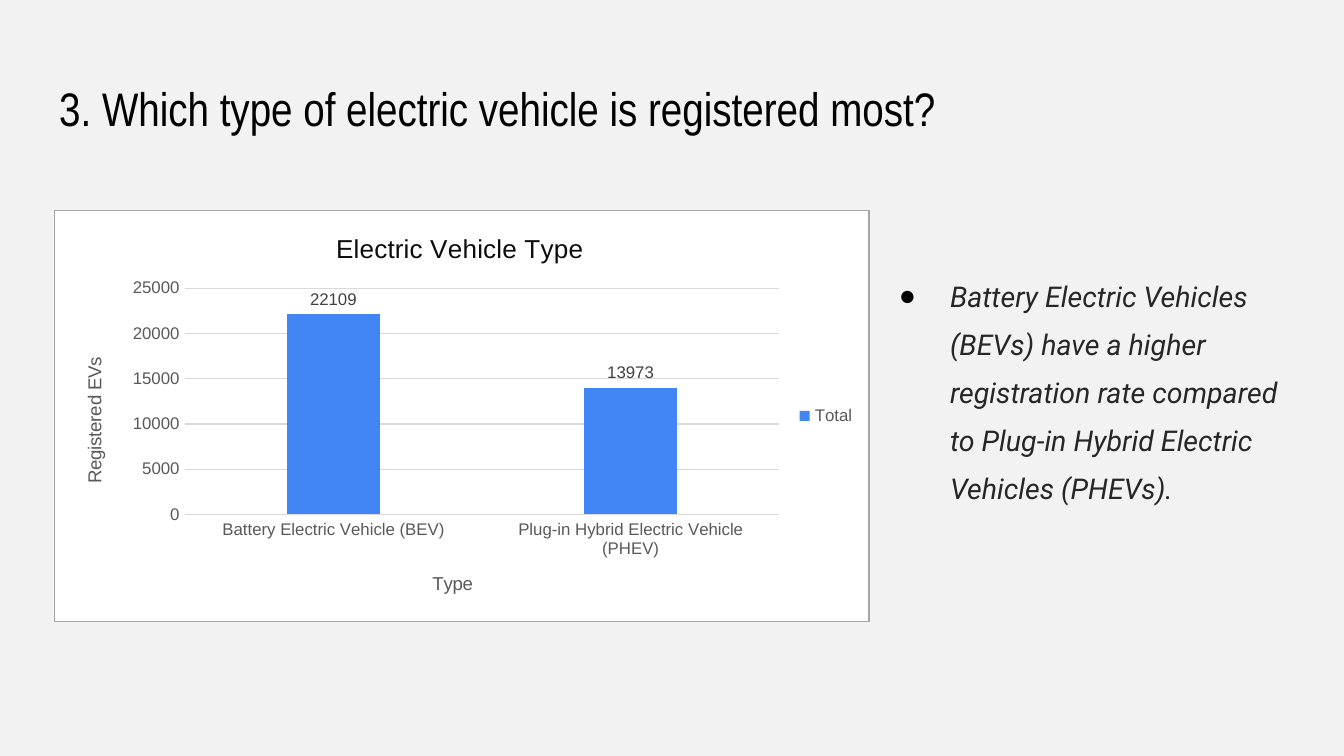
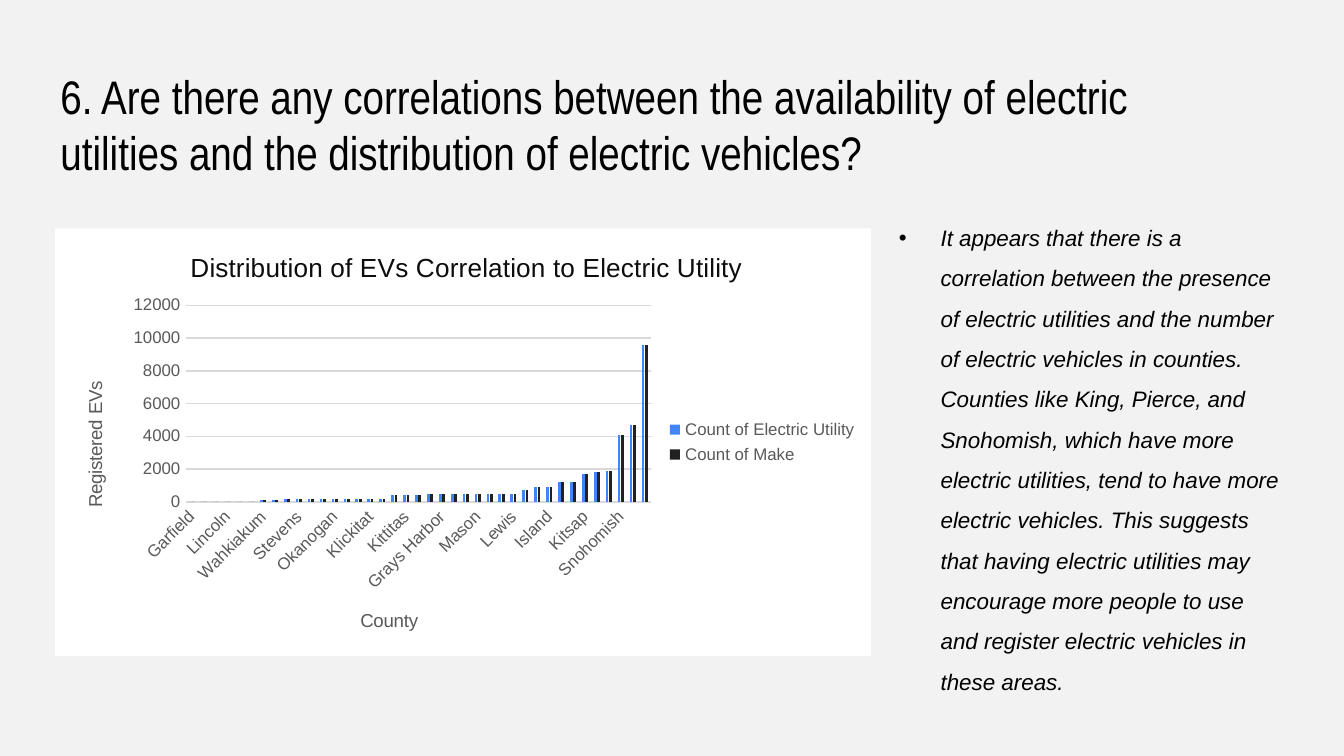
from lxml.etree import SubElement
from pptx import Presentation
from pptx.chart.data import CategoryChartData
from pptx.dml.color import RGBColor
from pptx.enum.chart import XL_CHART_TYPE, XL_LABEL_POSITION, XL_LEGEND_POSITION, XL_TICK_MARK
from pptx.enum.text import MSO_ANCHOR, MSO_AUTO_SIZE, PP_ALIGN
from pptx.oxml import parse_xml
from pptx.oxml.ns import nsdecls, qn
from pptx.util import Inches, Pt

BACKGROUND, WHITE, BLACK = "F2F2F2", "FFFFFF", "000000"
BLUE, CHARCOAL = "4285F4", "212121"
GRID, AXIS_TEXT, LABEL_TEXT, CHART_TITLE = "D9D9D9", "595959", "404040", "0D0D0D"

COUNTIES = [
    "Garfield", "Columbia", "Ferry", "Lincoln", "Adams", "Pend Oreille", "Wahkiakum",
    "Asotin", "Skamania", "Stevens", "Douglas", "Pacific", "Okanogan", "Franklin",
    "Whitman", "Klickitat", "Walla Walla", "Grant", "Kittitas", "Clallam", "San Juan",
    "Grays Harbor", "Jefferson", "Yakima", "Mason", "Chelan", "Cowlitz", "Lewis", "Benton",
    "Skagit", "Island", "Thurston", "Whatcom", "Kitsap", "Clark", "Spokane", "Snohomish",
    "Pierce", "King",
]
UTILITY_COUNTS = (
    [0] * 6 + [100] * 2 + [200] * 9 + [400] * 3 + [500] * 8
    + [700, 900, 900, 1200, 1200, 1700, 1800, 1900, 4100, 4700, 9600]
)
MAKE_COUNTS = UTILITY_COUNTS

# Boxes are left, top, width, height in inches; layouts are shares of the chart.
SLIDES = [
    {
        "title": "3. Which type of electric vehicle is registered most?",
        "title_box": (0.34, 0.49, 9.32, 0.63),
        "finding": "Battery Electric Vehicles (BEVs) have a higher registration rate "
                   "compared to Plug-in Hybrid Electric Vehicles (PHEVs).",
        "finding_box": (6.47, 1.87, 3.19, 2.28),
        "finding_style": {"size": 15.3, "name": "Roboto", "color": "262626", "italic": True},
        "bullet": {"char": "●", "left": 0.5, "hang": 0.38, "spacing": 1.4, "inset": (0.1, 0.1)},
        "chart": {
            "box": (0.4, 1.56, 6.07, 3.07),
            "titles": ["Electric Vehicle Type", "Type", "Registered EVs"],
            "title_layouts": [(0.34, 0.04), (0.46, 0.87), (0.03, 0.35)],
            "plot_layout": (0.16, 0.19, 0.73, 0.55),
            "categories": ["Battery Electric Vehicle (BEV)",
                           "Plug-in Hybrid Electric Vehicle (PHEV)"],
            "series": [("Total", [22109, 13973], BLUE)],
            "border": "A6A6A6", "labels": True, "label_angle": 0,
        },
    },
    {
        "title": "6. Are there any correlations between the availability of electric "
                 "utilities and the distribution of electric vehicles?",
        "title_box": (0.35, 0.4, 8.51, 0.63),
        "finding": "It appears that there is a correlation between the presence of electric "
                   "utilities and the number of electric vehicles in counties. Counties like "
                   "King, Pierce, and Snohomish, which have more electric utilities, tend to "
                   "have more electric vehicles. This suggests that having electric utilities "
                   "may encourage more people to use and register electric vehicles in these "
                   "areas.",
        "finding_box": (6.59, 1.52, 3.08, 3.7),
        "finding_style": {"size": 12, "name": "Arial", "color": BLACK, "italic": True},
        "bullet": {"char": "•", "left": 0.31, "hang": 0.31, "spacing": 1.5, "inset": (0.1, 0.05)},
        "chart": {
            "box": (0.41, 1.7, 6.07, 3.18),
            "titles": ["Distribution of EVs Correlation to Electric Utility", "County",
                       "Registered EVs"],
            "title_layouts": [(0.16, 0.04), (0.37, 0.88), (0.03, 0.35)],
            "plot_layout": (0.16, 0.18, 0.57, 0.46),
            "categories": COUNTIES,
            "series": [("Count of Electric Utility", UTILITY_COUNTS, BLUE),
                       ("Count of Make", MAKE_COUNTS, CHARCOAL)],
            "border": None, "labels": False, "label_angle": -45,
        },
    },
]


def rgb(value):
    return RGBColor.from_string(value)


def inches(box):
    return [Inches(v) for v in box]


def style(font, size, color, name="Arial", **flags):
    font.size, font.name = Pt(size), name
    font.color.rgb = rgb(color)
    for key, value in flags.items():
        setattr(font, key, value)


def set_frame(tf, inset):
    tf.word_wrap, tf.auto_size = True, MSO_AUTO_SIZE.NONE
    tf.vertical_anchor = MSO_ANCHOR.TOP
    tf.margin_left = tf.margin_right = Inches(inset[0])
    tf.margin_top = tf.margin_bottom = Inches(inset[1])


def add_title(s, text, box):
    sp = s.shapes.title
    sp.left, sp.top, sp.width, sp.height = inches(box)
    set_frame(sp.text_frame, (0.1, 0.1))
    p = sp.text_frame.paragraphs[0]
    p.alignment = PP_ALIGN.LEFT
    r = p.add_run()
    r.text = text
    style(r.font, 25.2, BLACK, "Arial Narrow")


def add_finding(s, text, box, font, bullet):
    tf = s.shapes.add_textbox(*inches(box)).text_frame
    set_frame(tf, bullet["inset"])
    p = tf.paragraphs[0]
    p.line_spacing = bullet["spacing"]
    r = p.add_run()
    r.text = text
    style(r.font, **font)
    pPr = p._p.get_or_add_pPr()
    pPr.set("marL", str(Inches(bullet["left"])))
    pPr.set("indent", str(-Inches(bullet["hang"])))
    color = SubElement(pPr, qn("a:buClr"))
    SubElement(color, qn("a:srgbClr"), val=BLACK)
    SubElement(pPr, qn("a:buFont"), typeface="Arial")
    SubElement(pPr, qn("a:buChar"), char=bullet["char"])


def set_layout(element, shares, index):
    """Place a chart part by its x, y and, for the plot, inner width and height."""
    for old in element.findall(qn("c:layout")):
        element.remove(old)
    layout = parse_xml(f"<c:layout {nsdecls('c')}><c:manualLayout/></c:layout>")
    if len(shares) == 4:
        SubElement(layout[0], qn("c:layoutTarget"), val="inner")
    for tag in ("xMode", "yMode"):
        SubElement(layout[0], qn(f"c:{tag}"), val="edge")
    for tag, share in zip("xywh", shares):
        SubElement(layout[0], qn(f"c:{tag}"), val=str(share))
    element.insert(index, layout)


def set_chart_area(chart, border):
    line = "<a:noFill/>"
    if border:
        line = f'<a:solidFill><a:srgbClr val="{border}"/></a:solidFill>'
    chart.element.find(qn("c:chart")).addnext(parse_xml(
        f"<c:spPr {nsdecls('c', 'a')}><a:solidFill><a:srgbClr val=\"{WHITE}\"/></a:solidFill>"
        f'<a:ln w="{Pt(0.75)}">{line}</a:ln></c:spPr>'))


def rotate(body, degrees):
    body.set("rot", str(degrees * 60000))
    body.set("vert", "horz")


def add_column_chart(s, content):
    data = CategoryChartData()
    data.categories = content["categories"]
    for name, values, _ in content["series"]:
        data.add_series(name, values)
    chart = s.shapes.add_chart(
        XL_CHART_TYPE.COLUMN_CLUSTERED, *inches(content["box"]), data).chart
    style(chart.font, 10, BLACK)
    set_chart_area(chart, content["border"])

    plot = chart.plots[0]
    plot.gap_width, plot.overlap, plot.vary_by_categories = 219, -27, False
    for series, (_, _, color) in zip(plot.series, content["series"]):
        series.format.fill.solid()
        series.format.fill.fore_color.rgb = rgb(color)
        if content["labels"]:
            labels = series.data_labels
            labels.show_value, labels.position = True, XL_LABEL_POSITION.OUTSIDE_END
            style(labels.font, 9, LABEL_TEXT)

    cat, val = chart.category_axis, chart.value_axis
    for axis in (cat, val):
        axis.major_tick_mark = axis.minor_tick_mark = XL_TICK_MARK.NONE
        style(axis.tick_labels.font, 9, AXIS_TEXT)
    val.format.line.fill.background()
    for line in (cat.format.line, val.major_gridlines.format.line):
        line.color.rgb, line.width = rgb(GRID), Pt(0.75)
    if content["label_angle"]:
        rotate(chart.element.xpath(".//c:catAx/c:txPr/a:bodyPr")[0], content["label_angle"])

    chart.has_title = True
    headings = (chart.chart_title, cat.axis_title, val.axis_title)
    formats = [(14, CHART_TITLE), (10, AXIS_TEXT), (10, AXIS_TEXT)]
    for heading, text, (size, color) in zip(headings, content["titles"], formats):
        r = heading.text_frame.paragraphs[0].add_run()
        r.text = text
        style(r.font, size, color, bold=False)
    rotate(chart.element.xpath(".//c:valAx/c:title//a:bodyPr")[0], -90)
    for title, shares in zip(chart.element.xpath(".//c:title"), content["title_layouts"]):
        set_layout(title, shares, 1)
    set_layout(chart.element.xpath(".//c:plotArea")[0], content["plot_layout"], 0)

    chart.has_legend = True
    chart.legend.position = XL_LEGEND_POSITION.RIGHT
    chart.legend.include_in_layout = False
    style(chart.legend.font, 9, AXIS_TEXT)


def main():
    prs = Presentation()
    prs.slide_width = Inches(10)
    prs.slide_height = prs.slide_width * 9 // 16
    for content in SLIDES:
        s = prs.slides.add_slide(prs.slide_layouts[5])
        s.background.fill.solid()
        s.background.fill.fore_color.rgb = rgb(BACKGROUND)
        add_title(s, content["title"], content["title_box"])
        add_finding(s, content["finding"], content["finding_box"],
                    content["finding_style"], content["bullet"])
        add_column_chart(s, content["chart"])
    prs.save("out.pptx")


if __name__ == "__main__":
    main()
